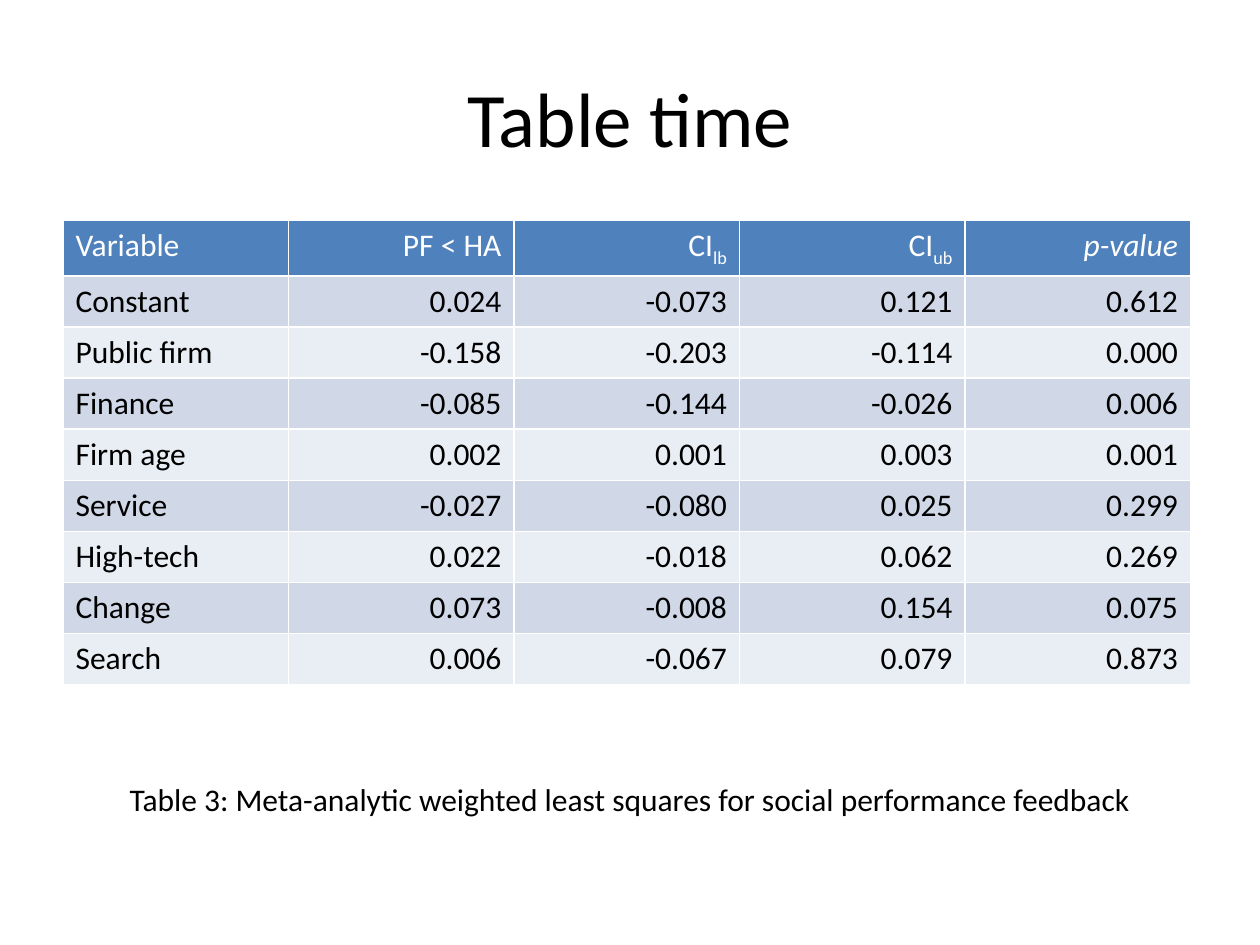
from dataclasses import dataclass

from lxml.etree import SubElement, Element
from pptx import Presentation
from pptx.dml.color import RGBColor as Color
from pptx.enum.text import MSO_ANCHOR as Anchor, PP_ALIGN as Align
from pptx.oxml.ns import qn
from pptx.util import Inches, Pt


@dataclass(frozen=True)
class Theme:
    font: str = "Calibri"
    ink: str = "000000"
    white: str = "FFFFFF"
    head: str = "4F81BD"
    bands: tuple[str, str] = ("D0D8E8", "E9EDF4")
    title: int = 44
    body: int = 18
    rule: int = 1


@dataclass(frozen=True)
class Head:
    text: str
    sub: str = ""
    italic: bool = False


THEME = Theme()

HEADS = [
    Head("Variable"),
    Head("PF < HA"),
    Head("CI", sub="lb"),
    Head("CI", sub="ub"),
    Head("p-value", italic=True),
]

ROWS = [
    ("Constant", "0.024", "-0.073", "0.121", "0.612"),
    ("Public firm", "-0.158", "-0.203", "-0.114", "0.000"),
    ("Finance", "-0.085", "-0.144", "-0.026", "0.006"),
    ("Firm age", "0.002", "0.001", "0.003", "0.001"),
    ("Service", "-0.027", "-0.080", "0.025", "0.299"),
    ("High-tech", "0.022", "-0.018", "0.062", "0.269"),
    ("Change", "0.073", "-0.008", "0.154", "0.075"),
    ("Search", "0.006", "-0.067", "0.079", "0.873"),
]


def write(para, text: str, *, size: int = THEME.body, color: str = THEME.ink,
          align=Align.LEFT, italic: bool = False, base: int = 0) -> None:
    """Add one run; base is the baseline shift in percent."""
    para.alignment = align
    run = para.add_run()
    run.text = text
    font = run.font
    font.name, font.size = THEME.font, Pt(size)
    font.bold, font.italic = False, italic
    font.color.rgb = Color.from_string(color)
    if base:
        run._r.get_or_add_rPr().set("baseline", str(base * 1000))


def edge(cell) -> None:
    """Rule all four sides of a cell in white."""
    props = cell._tc.get_or_add_tcPr()
    for spot, side in enumerate("LRTB"):
        line = Element(qn(f"a:ln{side}"), w=str(Pt(THEME.rule)))
        fill = SubElement(line, qn("a:solidFill"))
        SubElement(fill, qn("a:srgbClr"), val=THEME.white)
        props.insert(spot, line)


def draw_cell(cell, item: Head, col: int, fill: str, color: str) -> None:
    edge(cell)
    cell.fill.solid()
    cell.fill.fore_color.rgb = Color.from_string(fill)
    para = cell.text_frame.paragraphs[0]
    align = Align.RIGHT if col else Align.LEFT
    write(para, item.text, color=color, align=align, italic=item.italic)
    if item.sub:
        write(para, item.sub, color=color, align=align, base=-25)


def draw_table(slide) -> None:
    wide, tall, top = 1.79, 0.4, 0.44
    count = len(ROWS)
    table = slide.shapes.add_table(
        count + 1, len(HEADS), Inches(0.5), Inches(1.75),
        Inches(wide * len(HEADS)), Inches(top + tall * count)).table
    for col in table.columns:
        col.width = Inches(wide)
    for num, row in enumerate(table.rows):
        row.height = Inches(tall if num else top)

    for col, head in enumerate(HEADS):
        draw_cell(table.cell(0, col), head, col, THEME.head, THEME.white)
    for num, row in enumerate(ROWS):
        for col, text in enumerate(row):
            draw_cell(table.cell(num + 1, col), Head(text), col,
                      THEME.bands[num % 2], THEME.ink)


def main() -> None:
    deck = Presentation()
    deck.slide_width, deck.slide_height = Inches(10), Inches(7.5)
    slide = deck.slides.add_slide(deck.slide_layouts[5])

    # Title
    title = slide.shapes.title
    title.left, title.top = Inches(0.5), Inches(0.3)
    title.width, title.height = Inches(9), Inches(1.25)
    title.text_frame.vertical_anchor = Anchor.MIDDLE
    write(title.text_frame.paragraphs[0], "Table time",
          size=THEME.title, align=Align.CENTER)

    # Results
    draw_table(slide)

    # Caption
    box = slide.shapes.add_textbox(
        Inches(0.5), Inches(6.14), Inches(9), Inches(0.56))
    box.text_frame.word_wrap = True
    write(box.text_frame.paragraphs[0],
          "Table 3: Meta-analytic weighted least squares "
          "for social performance feedback", align=Align.CENTER)

    deck.save("out.pptx")


if __name__ == "__main__":
    main()
